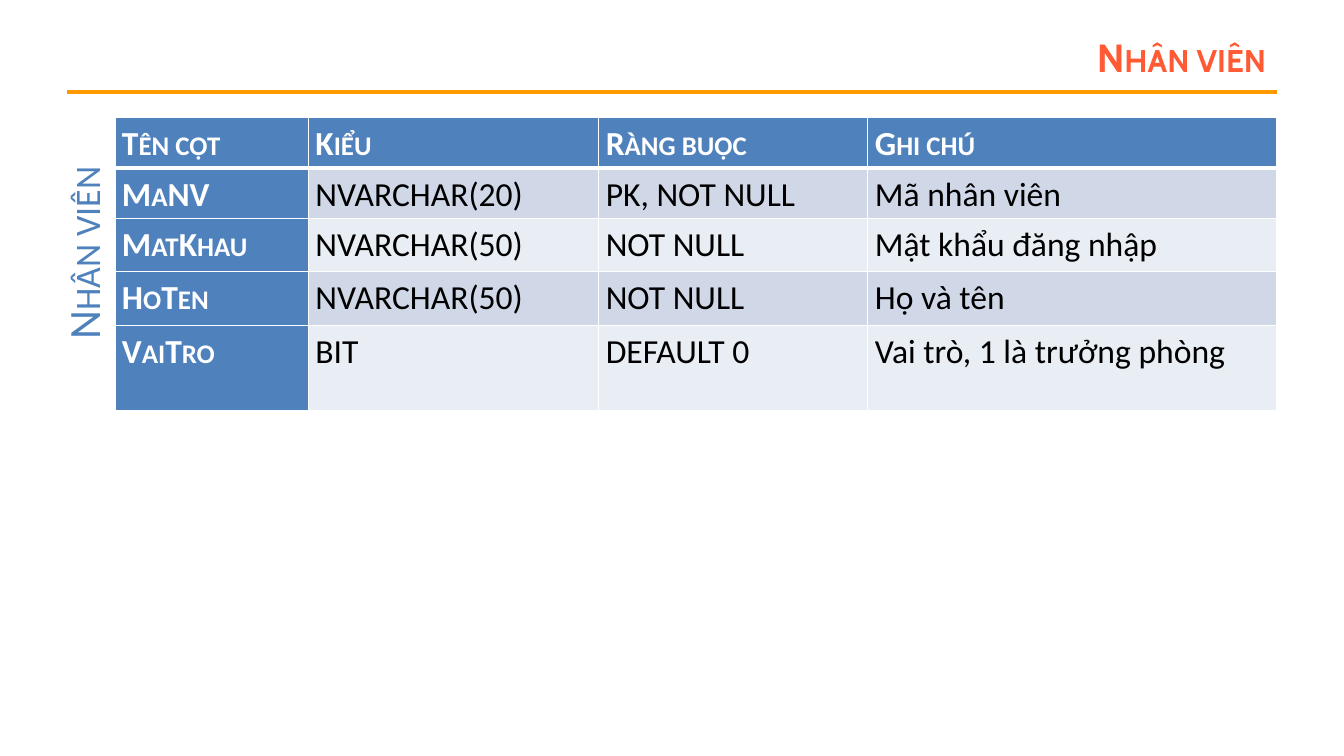
from dataclasses import dataclass

from lxml import etree
from pptx import Presentation
from pptx.dml.color import RGBColor
from pptx.enum.shapes import MSO_CONNECTOR
from pptx.enum.text import MSO_ANCHOR, MSO_AUTO_SIZE, PP_ALIGN
from pptx.oxml.ns import qn
from pptx.util import Emu, Inches, Pt

STRAIGHT = MSO_CONNECTOR.STRAIGHT
MIDDLE = MSO_ANCHOR.MIDDLE
GROW = MSO_AUTO_SIZE.SHAPE_TO_FIT_TEXT
CENTER, RIGHT, JUSTIFY = PP_ALIGN.CENTER, PP_ALIGN.RIGHT, PP_ALIGN.JUSTIFY

SLIDE_WIDTH, SLIDE_HEIGHT = Inches(13.333), Inches(7.5)
GRID_COLUMNS, GRID_ROWS = 160, 90

WHITE, BLACK, BLUE = "FFFFFF", "000000", "4F81BD"
ORANGE, CORAL = "FF9900", "FF5A33"
BANDS = ("D0D8E8", "E9EDF4")
ENTITY = "Nhân viên"
HEADINGS = ("Tên cột", "Kiểu", "Ràng buộc", "Ghi chú")
FIELD_WIDTHS = (23.04, 34.56, 32.04, 48.72)
HEADING_HEIGHT = 6


@dataclass(frozen=True)
class Field:
    name: str
    kind: str
    constraint: str
    note: str
    height: float


@dataclass(frozen=True)
class Area:
    left: float
    top: float
    width: float
    height: float

    def lengths(self) -> tuple:
        return across(self.left), down(self.top), across(self.width), down(self.height)


FIELDS = (
    Field("MaNV", "NVARCHAR(20)", "PK, NOT NULL", "Mã nhân viên", 6),
    Field("MatKhau", "NVARCHAR(50)", "NOT NULL", "Mật khẩu đăng nhập", 6.36),
    Field("HoTen", "NVARCHAR(50)", "NOT NULL", "Họ và tên", 6.36),
    Field("VaiTro", "BIT", "DEFAULT 0", "Vai trò, 1 là trưởng phòng", 10.2),
)


def across(columns: float) -> Emu:
    return Emu(round(SLIDE_WIDTH * columns / GRID_COLUMNS))


def down(rows: float) -> Emu:
    return Emu(round(SLIDE_HEIGHT * rows / GRID_ROWS))


def color(value: str) -> RGBColor:
    return RGBColor.from_string(value)


def write(frame, text: str, *, size: float, ink: str, font: str = "Calibri",
          bold: bool = False, small_caps: bool = False, align=CENTER,
          line_spacing: float = 1.0, gap: float = 0) -> None:
    paragraph = frame.paragraphs[0]
    paragraph.alignment = align
    paragraph.line_spacing = line_spacing
    paragraph.space_before = paragraph.space_after = Pt(gap)
    run = paragraph.add_run()
    run.text = text
    run.font.name = font
    run.font.size = Pt(size)
    run.font.bold = bold
    run.font.color.rgb = color(ink)
    if small_caps:
        run.font._element.set("cap", "small")


def draw_title(slide) -> None:
    title = slide.shapes.add_textbox(*Area(29.28, 3.6, 122.64, 6.36).lengths())
    title.text_frame.word_wrap = True
    title.text_frame.vertical_anchor = MIDDLE
    write(title.text_frame, ENTITY, size=28, ink=CORAL, font="Cabin",
          bold=True, small_caps=True, align=RIGHT)


def draw_rule(slide) -> None:
    rule = slide.shapes.add_connector(
        STRAIGHT, across(8), down(11), across(152), down(11))
    rule.line.color.rgb = color(ORANGE)
    rule.line.width = Pt(3)
    etree.SubElement(rule._element.spPr, qn("a:effectLst"))


def draw_side_label(slide) -> None:
    label = slide.shapes.add_textbox(*Area(-1.92, 26.28, 23.52, 7.68).lengths())
    label.rotation = 270
    label.text_frame.word_wrap = False
    label.text_frame.auto_size = GROW
    write(label.text_frame, ENTITY, size=32, ink=BLUE, small_caps=True)


def set_borders(cell, **widths: float) -> None:
    properties = cell._tc.get_or_add_tcPr()
    for position, side in enumerate("LRTB"):
        border = etree.Element(qn(f"a:ln{side}"), w=str(Pt(widths.get(side, 1))))
        fill = etree.SubElement(border, qn("a:solidFill"))
        etree.SubElement(fill, qn("a:srgbClr"), val=WHITE)
        properties.insert(position, border)


def draw_cell(cell, text: str, row: int, column: int) -> None:
    is_heading = row == 0 or column == 0
    cell.margin_left = cell.margin_right = Inches(0.07)
    cell.margin_top = cell.margin_bottom = 0
    cell.fill.solid()
    cell.fill.fore_color.rgb = color(BLUE if is_heading else BANDS[(row - 1) % 2])
    set_borders(cell, T=3 if row == 1 else 1, B=3 if row == 0 else 1)
    write(cell.text_frame, text, size=24, ink=WHITE if is_heading else BLACK,
          bold=is_heading, small_caps=is_heading, align=JUSTIFY,
          line_spacing=1.15, gap=6)


def draw_fields(slide) -> None:
    heights = (HEADING_HEIGHT, *(field.height for field in FIELDS))
    area = Area(13.68, 14, sum(FIELD_WIDTHS), sum(heights))
    table = slide.shapes.add_table(
        len(heights), len(HEADINGS), *area.lengths()).table
    for column, width in zip(table.columns, FIELD_WIDTHS):
        column.width = across(width)
    for row, height in zip(table.rows, heights):
        row.height = down(height)
    entries = [HEADINGS]
    entries += [(f.name, f.kind, f.constraint, f.note) for f in FIELDS]
    for row, texts in enumerate(entries):
        for column, text in enumerate(texts):
            draw_cell(table.cell(row, column), text, row, column)


def main() -> None:
    deck = Presentation()
    deck.slide_width, deck.slide_height = SLIDE_WIDTH, SLIDE_HEIGHT
    slide = deck.slides.add_slide(deck.slide_layouts[6])
    draw_rule(slide)
    draw_title(slide)
    draw_fields(slide)
    draw_side_label(slide)
    deck.save("out.pptx")


if __name__ == "__main__":
    main()
